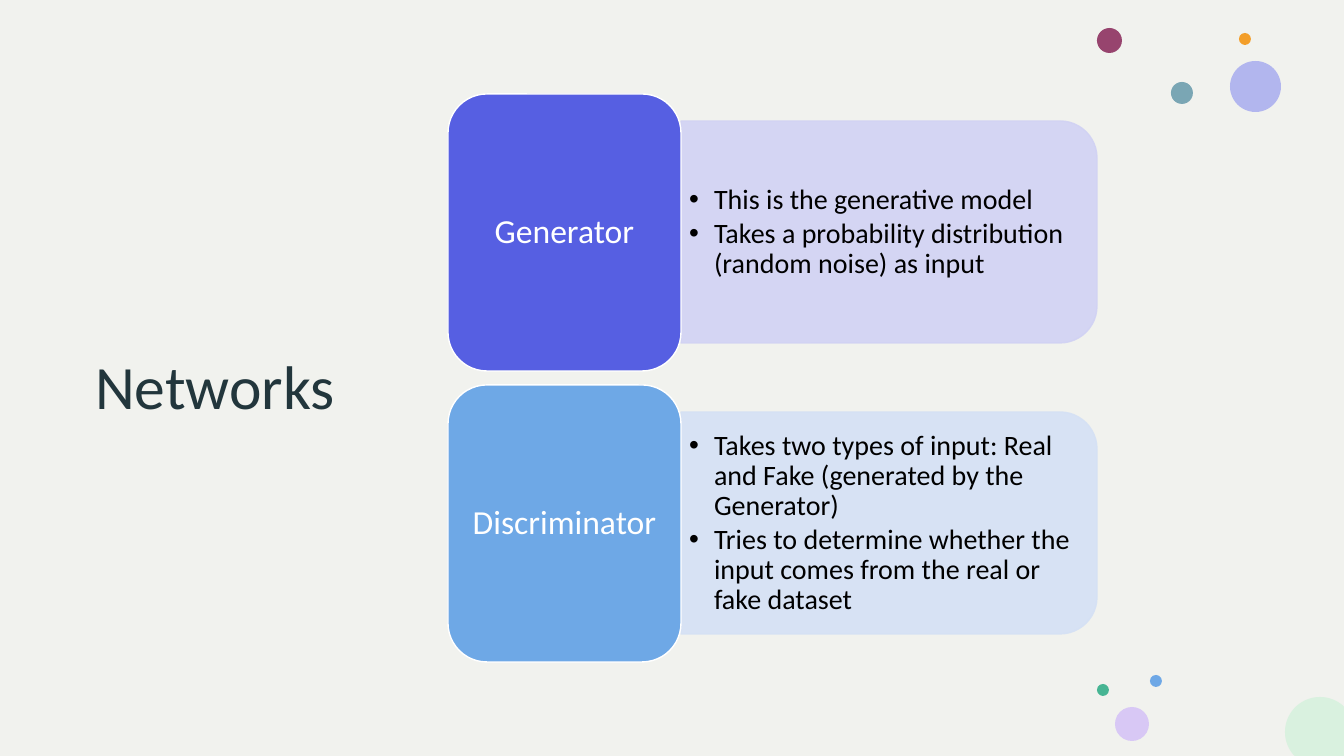
"""Build the Networks slide with two model cards and scattered dots."""
import math
from dataclasses import dataclass

import pptx
import pptx.dml.color
import pptx.enum.shapes
import pptx.enum.text
import pptx.oxml.ns
import pptx.util
from lxml import etree

SCALE = 12192000 / 1344
WIDE, HIGH = 1344, 756
STEP = 291
FONT = "Calibri"
KIND = pptx.enum.shapes.MSO_SHAPE
ALIGN = pptx.enum.text.PP_ALIGN
MIDDLE = pptx.enum.text.MSO_ANCHOR.MIDDLE
HUES = {
    "page": "F1F2EE", "title": "22363C", "white": "FFFFFF", "black": "000000",
    "indigo": "565FE2", "blue": "6EA8E6", "lilac": "D1D2F4", "ice": "D5E1F5",
    "plum": "97446E", "violet": "9A9FEE", "orange": "F39E29", "teal": "7AA6B4",
    "mauve": "D8C8F5", "green": "47B593", "mint": "D9F1DF",
}


@dataclass(frozen=True)
class Dot:
    left: int
    top: int
    size: int
    hue: str
    alpha: int = 100


@dataclass(frozen=True)
class Model:
    name: str
    hue: str
    tint: str
    points: tuple[str, ...]


DOTS = (
    Dot(1097, 28, 25, "plum"),
    Dot(1230, 61, 51, "violet", 72),
    Dot(1239, 33, 12, "orange"),
    Dot(1171, 82, 22, "teal"),
    Dot(1150, 675, 12, "blue"),
    Dot(1115, 707, 34, "mauve"),
    Dot(1097, 684, 12, "green"),
)
MODELS = (
    Model("Generator", "indigo", "lilac", (
        "This is the generative model",
        "Takes a probability distribution (random noise) as input",
    )),
    Model("Discriminator", "blue", "ice", (
        "Takes two types of input: Real and Fake (generated by the Generator)",
        "Tries to determine whether the input comes from the real or fake dataset",
    )),
)


def px(size: float) -> int:
    return round(size * SCALE)


def shade(fill, hue: str, alpha: int = 100) -> None:
    fill.solid()
    fill.fore_color.rgb = pptx.dml.color.RGBColor.from_string(HUES[hue])
    if alpha < 100:
        tone = fill._xPr.find(".//" + pptx.oxml.ns.qn("a:srgbClr"))
        etree.SubElement(tone, pptx.oxml.ns.qn("a:alpha"), val=str(alpha * 1000))


def paint(shape, hue: str, alpha: int = 100, edge: str = "") -> None:
    shape.shadow.inherit = False
    shade(shape.fill, hue, alpha)
    if edge:
        shape.line.width = pptx.util.Pt(1)
        shade(shape.line.fill, edge, alpha)
    else:
        shape.line.fill.background()


def add(slide, kind, box: tuple[int, int, int, int]):
    return slide.shapes.add_shape(kind, *map(px, box))


def set_frame(shape, side: int, edge: int):
    frame = shape.text_frame
    frame.word_wrap = True
    frame.vertical_anchor = MIDDLE
    frame.margin_left = frame.margin_right = px(side)
    frame.margin_top = frame.margin_bottom = px(edge)
    return frame


def write(para, text: str, size: int, hue: str, align=ALIGN.LEFT) -> None:
    para.alignment = align
    para.line_spacing = 0.9
    run = para.add_run()
    run.text = text
    run.font.name = FONT
    run.font.size = pptx.util.Pt(size)
    run.font.color.rgb = pptx.dml.color.RGBColor.from_string(HUES[hue])


def mark(para) -> None:
    para.space_after = pptx.util.Pt(2.5)
    props = para._p.get_or_add_pPr()
    props.set("marL", str(px(25)))
    props.set("indent", str(-px(25)))
    etree.SubElement(props, pptx.oxml.ns.qn("a:buFont"), typeface="Arial")
    etree.SubElement(props, pptx.oxml.ns.qn("a:buChar"), char="•")


def draw_dot(slide, dot: Dot) -> None:
    paint(add(slide, KIND.OVAL, (dot.left, dot.top, dot.size, dot.size)), dot.hue, dot.alpha)


def draw_corner(slide, mid_x: int, mid_y: int, reach: int, hue: str) -> None:
    turns = [math.radians(angle) for angle in range(0, 360, 3)]
    ring = [(px(min(WIDE, mid_x + reach * math.cos(turn))),
             px(min(HIGH, mid_y + reach * math.sin(turn)))) for turn in turns]
    path = slide.shapes.build_freeform(*ring[0])
    path.add_line_segments(ring[1:], close=True)
    paint(path.convert_to_shape(), hue)


def draw_model(slide, model: Model, drop: int) -> None:
    panel = add(slide, KIND.ROUND_2_SAME_RECTANGLE, (778, 24 + drop, 222, 416))
    panel.rotation = 90
    paint(panel, model.tint, 90, model.tint)

    notes = slide.shapes.add_textbox(*map(px, (681, 132 + drop, 405, 201)))
    frame = set_frame(notes, 8, 4)
    for rank, point in enumerate(model.points):
        para = frame.add_paragraph() if rank else frame.paragraphs[0]
        write(para, point, 20, "black")
        mark(para)

    card = add(slide, KIND.ROUNDED_RECTANGLE, (448, 94 + drop, 233, 277))
    paint(card, model.hue, edge="white")
    write(set_frame(card, 0, 0).paragraphs[0], model.name, 24, "white", ALIGN.CENTER)


def main() -> None:
    deck = pptx.Presentation()
    deck.slide_width, deck.slide_height = px(WIDE), px(HIGH)
    slide = deck.slides.add_slide(deck.slide_layouts[6])
    shade(slide.background.fill, "page")

    title = slide.shapes.add_textbox(*map(px, (85, 105, 508, 569)))
    write(set_frame(title, 10, 5).paragraphs[0], "Networks", 44, "title")

    for dot in DOTS:
        draw_dot(slide, dot)
    draw_corner(slide, 1320, 732, 35, "mint")
    for rank, model in enumerate(MODELS):
        draw_model(slide, model, rank * STEP)
    deck.save("out.pptx")


if __name__ == "__main__":
    main()
